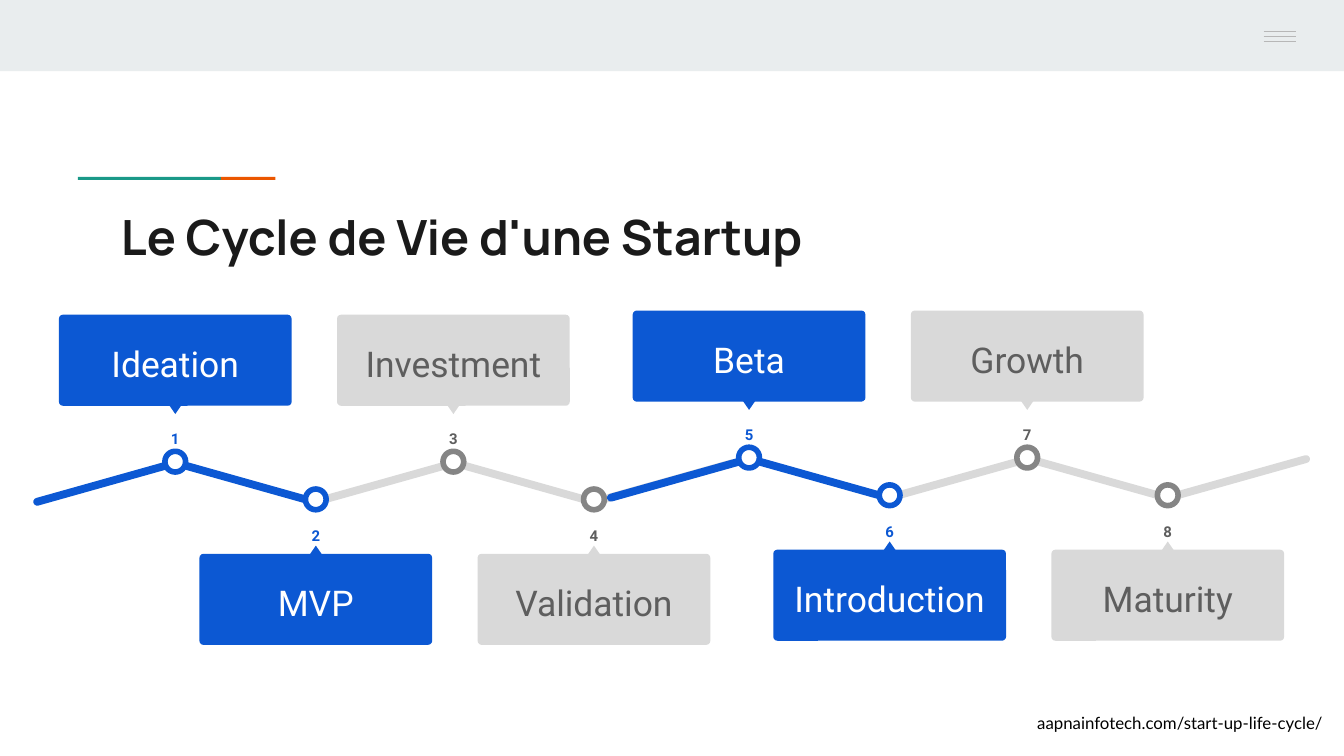
from lxml import etree
from pptx import Presentation
from pptx.dml.color import RGBColor
from pptx.enum.shapes import MSO_CONNECTOR, MSO_SHAPE
from pptx.enum.text import MSO_ANCHOR, MSO_AUTO_SIZE, PP_ALIGN
from pptx.oxml.ns import qn
from pptx.util import Pt

RECTANGLE, ROUNDED = MSO_SHAPE.RECTANGLE, MSO_SHAPE.ROUNDED_RECTANGLE
OVAL, TRIANGLE = MSO_SHAPE.OVAL, MSO_SHAPE.ISOSCELES_TRIANGLE
STRAIGHT = MSO_CONNECTOR.STRAIGHT
LEFT, CENTER = PP_ALIGN.LEFT, PP_ALIGN.CENTER
TOP, MIDDLE = MSO_ANCHOR.TOP, MSO_ANCHOR.MIDDLE

BLUE = RGBColor(0x0C, 0x58, 0xD3)
LIGHT_GRAY = RGBColor(0xD9, 0xD9, 0xD9)
RING_GRAY = RGBColor(0x85, 0x85, 0x85)
TEXT_GRAY = RGBColor(0x5E, 0x5E, 0x5E)
HEADER_GRAY = RGBColor(0xE9, 0xED, 0xEE)
MENU_GRAY = RGBColor(0xB7, 0xB7, 0xB7)
TEAL = RGBColor(0x1A, 0x99, 0x88)
ORANGE = RGBColor(0xEB, 0x56, 0x00)
INK = RGBColor(0x1A, 0x1A, 0x1A)
WHITE = RGBColor(0xFF, 0xFF, 0xFF)
BLACK = RGBColor(0, 0, 0)

# Content
TITLE = "Le Cycle de Vie d'une Startup"
SOURCE = "aapnainfotech.com/start-up-life-cycle/"
HALVES = [
    ["Ideation", "MVP", "Investment", "Validation"],
    ["Beta", "Introduction", "Growth", "Maturity"],
]

# Layout, in points
HALF_SHIFT = (307.4, -2.2)
STAGE_X = [93.9, 169.2, 242.9, 318.2]
SEGMENT_LEFT, SEGMENT_TOP, SEGMENT_STEP = 16.4, 256.4, 74.7
SEGMENT_WIDTH, SEGMENT_HEIGHT, SLOPE = 80.6, 4.2, 15.7
CARD_WIDTH, CARD_HEIGHT = 124.7, 48.8
NUMBER_WIDTH, NUMBER_HEIGHT = 50.4, 19.4
NODE_SIZE = 11.1
POINTER_WIDTH, POINTER_HEIGHT = 6.6, 4.8
UPPER = {"card": 168.6, "pointer": 217, "number": 221.8, "node": 241.8, "turn": 180}
LOWER = {"card": 296.7, "pointer": 292.3, "number": 273.6, "node": 262, "turn": 0}


def write(shape, text, *, font, size, color, bold=False, align=LEFT,
          anchor=TOP, spacing=1.0, wrap=True):
    frame = shape.text_frame
    frame.word_wrap = wrap
    frame.auto_size = MSO_AUTO_SIZE.NONE
    frame.vertical_anchor = anchor
    frame.margin_left = frame.margin_right = Pt(7.2)
    frame.margin_top = frame.margin_bottom = Pt(7.2)
    paragraph = frame.paragraphs[0]
    paragraph.alignment = align
    paragraph.line_spacing = spacing
    run = paragraph.add_run()
    run.text = text
    run.font.name = font
    run.font.size = Pt(size)
    run.font.bold = bold
    run.font.color.rgb = color


def add_block(slide, kind, left, top, width, height, fill, line=None,
              rotation=0, radius=None):
    shape = slide.shapes.add_shape(kind, Pt(left), Pt(top), Pt(width), Pt(height))
    shape.shadow.inherit = False
    shape.fill.solid()
    shape.fill.fore_color.rgb = fill
    if line is None:
        shape.line.fill.background()
    else:
        shape.line.color.rgb = line
        shape.line.width = Pt(3)
    shape.rotation = rotation
    if radius is not None:
        shape.adjustments[0] = radius
    return shape


def add_label(slide, text, left, top, width, height, **style):
    box = slide.shapes.add_textbox(Pt(left), Pt(top), Pt(width), Pt(height))
    write(box, text, **style)


def add_header(slide):
    add_block(slide, RECTANGLE, 0, 0, 720, 38.2, HEADER_GRAY)
    add_block(slide, RECTANGLE, 41.8, 94.8, 76.6, 1.6, TEAL)
    add_block(slide, RECTANGLE, 118.4, 94.8, 29.2, 1.6, ORANGE)
    for row in range(3):
        y = Pt(16.9 + 2.6 * row)
        line = slide.shapes.add_connector(STRAIGHT, Pt(677), y, Pt(694.3), y)
        line.line.color.rgb = MENU_GRAY
        line.line.width = Pt(0.75)
        etree.SubElement(line._element.spPr, qn("a:effectLst"))


def add_stage(slide, name, number, center, shift_y, place, active):
    fill = BLUE if active else LIGHT_GRAY
    ring = BLUE if active else RING_GRAY
    card = add_block(slide, ROUNDED, center - CARD_WIDTH / 2, place["card"] + shift_y,
                     CARD_WIDTH, CARD_HEIGHT, fill, radius=0.045)
    write(card, name, font="Roboto", size=19, color=WHITE if active else TEXT_GRAY,
          align=CENTER, anchor=MIDDLE, spacing=1.15)
    add_block(slide, TRIANGLE, center - POINTER_WIDTH / 2, place["pointer"] + shift_y,
              POINTER_WIDTH, POINTER_HEIGHT, fill, rotation=place["turn"])
    add_label(slide, str(number), center - NUMBER_WIDTH / 2, place["number"] + shift_y,
              NUMBER_WIDTH, NUMBER_HEIGHT, font="Roboto", size=8, bold=True,
              color=BLUE if active else TEXT_GRAY, align=CENTER, spacing=1.15)
    add_block(slide, OVAL, center - NODE_SIZE / 2, place["node"] + shift_y,
              NODE_SIZE, NODE_SIZE, WHITE, line=ring)


def add_half(slide, half, names):
    shift_x, shift_y = (half * shift for shift in HALF_SHIFT)
    # Zigzag, drawn from right to left so that blue lies on top
    for index in reversed(range(len(names) + 1)):
        add_block(slide, ROUNDED, SEGMENT_LEFT + SEGMENT_STEP * index + shift_x,
                  SEGMENT_TOP + shift_y, SEGMENT_WIDTH, SEGMENT_HEIGHT,
                  BLUE if index < 2 else LIGHT_GRAY,
                  rotation=SLOPE if index % 2 else 360 - SLOPE, radius=0.5)
    # Stages alternate above and below the zigzag
    for index, name in enumerate(names):
        add_stage(slide, name, half * len(names) + index + 1, STAGE_X[index] + shift_x,
                  shift_y, LOWER if index % 2 else UPPER, index < 2)


def main():
    presentation = Presentation()
    presentation.slide_width, presentation.slide_height = Pt(720), Pt(405)
    slide = presentation.slides.add_slide(presentation.slide_layouts[5])

    # Header and title
    add_header(slide)
    title = slide.shapes.title
    title.left, title.top, title.width, title.height = Pt(57.6), Pt(103.7), Pt(605.5), Pt(42.5)
    write(title, TITLE, font="Manrope", size=26, color=INK, bold=True)

    # Life cycle
    for half, names in enumerate(HALVES):
        add_half(slide, half, names)

    # Source
    add_label(slide, SOURCE, 548.6, 374.4, 167.8, 25.2, font="Lato", size=9,
              color=BLACK, wrap=False)
    presentation.save("out.pptx")


if __name__ == "__main__":
    main()
